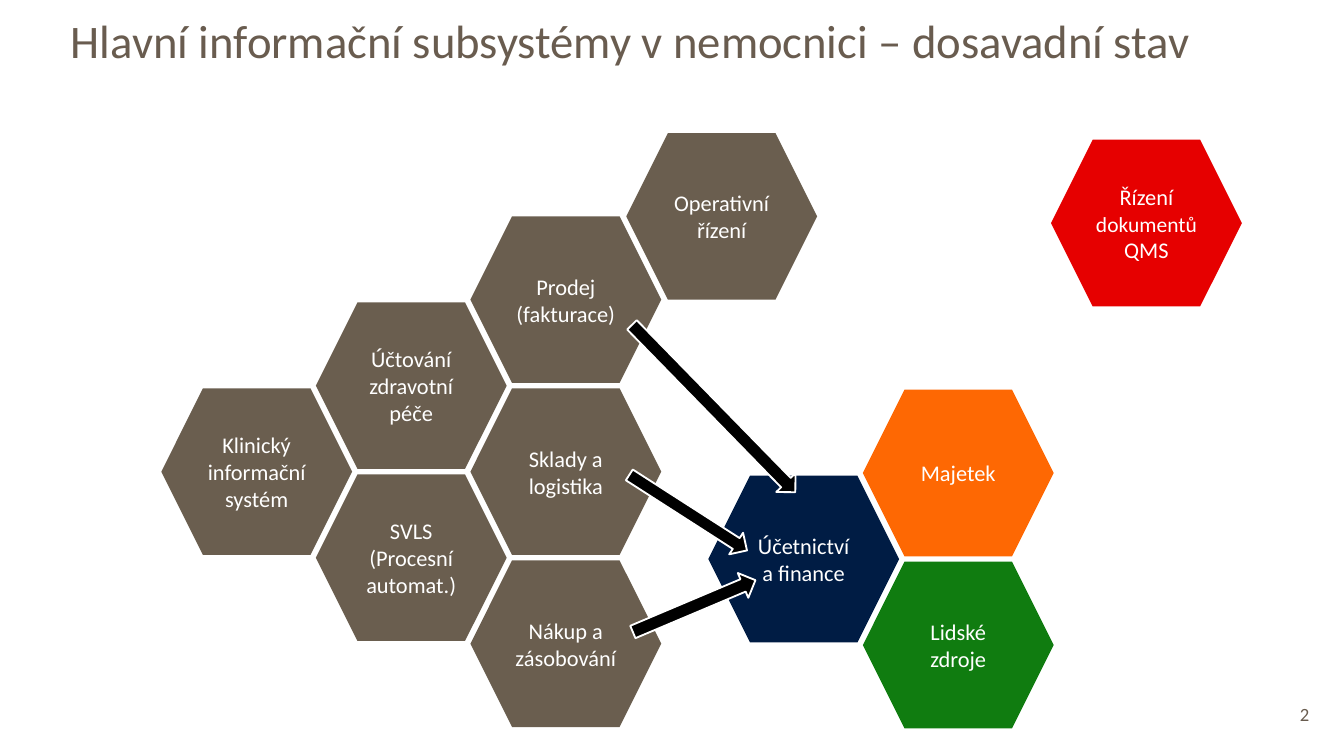
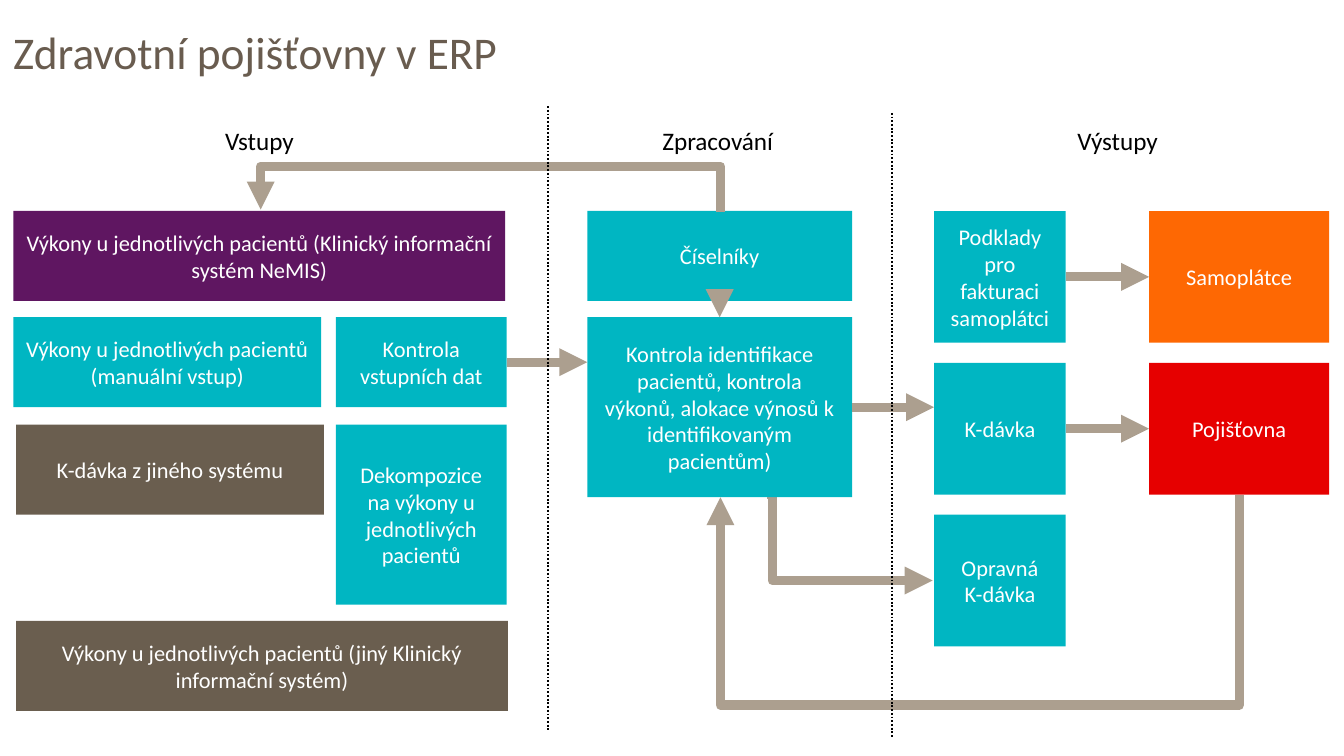
from lxml import etree
from pptx import Presentation
from pptx.dml.color import RGBColor
from pptx.enum.dml import MSO_LINE
from pptx.enum.shapes import MSO_CONNECTOR, MSO_SHAPE
from pptx.enum.text import MSO_ANCHOR, PP_ALIGN
from pptx.oxml.ns import qn
from pptx.util import Inches, Pt

TITLE = RGBColor(0x69, 0x5C, 0x4F)
BROWN = RGBColor(0x6A, 0x5E, 0x4F)
SAND = RGBColor(0xAC, 0x9F, 0x8F)
NAVY = RGBColor(0x00, 0x1C, 0x44)
ORANGE = RGBColor(0xFE, 0x68, 0x03)
GREEN = RGBColor(0x10, 0x7C, 0x10)
RED = RGBColor(0xE6, 0x00, 0x00)
TEAL = RGBColor(0x00, 0xB6, 0xC2)
PURPLE = RGBColor(0x5F, 0x16, 0x61)
BLACK = RGBColor(0, 0, 0)
WHITE = RGBColor(0xFF, 0xFF, 0xFF)

HEX, RECT, ARROW = MSO_SHAPE.HEXAGON, MSO_SHAPE.RECTANGLE, MSO_SHAPE.RIGHT_ARROW
STRAIGHT, ELBOW = MSO_CONNECTOR.STRAIGHT, MSO_CONNECTOR.ELBOW
LEFT, CENTER, RIGHT = PP_ALIGN.LEFT, PP_ALIGN.CENTER, PP_ALIGN.RIGHT
MIDDLE, DOTS = MSO_ANCHOR.MIDDLE, MSO_LINE.ROUND_DOT
TOP_SIDE, LEFT_SIDE, BASE_SIDE, RIGHT_SIDE = range(4)

FONT = "Calibri"
PAGE_W = Inches(10)
PAGE_H = PAGE_W * 9 // 16
HEX_W, HEX_H = 1.42, 1.24
COL, ROW = 1.15, 0.64
INSET = {"margin_left": Inches(0.09), "margin_right": Inches(0.09)}


def apply(item, values):
    """Set each named value on an object."""
    for name, value in values.items():
        setattr(item, name, value)


def write(shape, text, size=12, color=WHITE, align=CENTER, wrap=True):
    """Put one formatted paragraph, given as text or as sized runs, in a shape."""
    frame = shape.text_frame
    apply(frame, {"word_wrap": wrap, "vertical_anchor": MIDDLE})
    para = frame.paragraphs[0]
    para.alignment = align
    for part, points in [(text, size)] if isinstance(text, str) else text:
        for index, line in enumerate(part.split("\n")):
            if index:
                para.add_line_break()
            run = para.add_run()
            run.text = line
            apply(run.font, {"name": FONT, "size": Pt(points)})
            run.font.color.rgb = color


def note(slide, box, text, size, color=TITLE, align=LEFT, wrap=True):
    """Add a text box."""
    shape = slide.shapes.add_textbox(*map(Inches, box))
    write(shape, text, size, color, align, wrap)


def block(slide, kind, box, fill):
    """Add a flat filled shape without an outline."""
    shape = slide.shapes.add_shape(kind, *map(Inches, box))
    shape.shadow.inherit = False
    shape.fill.solid()
    shape.fill.fore_color.rgb = fill
    shape.line.fill.background()
    apply(shape.text_frame, INSET)
    return shape


def tile(slide, origin, place, text, fill):
    """Add a labelled rectangle placed relative to an origin."""
    x, y, w, h = place
    shape = block(slide, RECT, (origin[0] + x, origin[1] + y, w, h), fill)
    write(shape, text)
    return shape


def link(slide, start, end, kind=STRAIGHT, color=SAND, width=5, dash=None, head=True):
    """Add a connector without a shadow."""
    line = slide.shapes.add_connector(kind, *map(Inches, (*start, *end)))
    line.line.color.rgb = color
    apply(line.line, {"width": Pt(width), "dash_style": dash})
    props = line._element.spPr
    stroke = props.find(qn("a:ln"))
    etree.SubElement(stroke, qn("a:round"))
    if head:
        etree.SubElement(stroke, qn("a:tailEnd"), type="triangle")
    etree.SubElement(props, qn("a:effectLst"))
    return line


def bend(line, ratio):
    """Set where an elbow connector turns."""
    shape = line._element.spPr.find(qn("a:prstGeom"))
    guides = shape.find(qn("a:avLst"))
    if guides is None:
        guides = etree.SubElement(shape, qn("a:avLst"))
    etree.SubElement(guides, qn("a:gd"), name="adj1", fmla=f"val {round(ratio * 100000)}")


def loop(slide, start, end, level):
    """Draw a leftward elbow that leaves and returns by way of a given level."""
    (x0, y0), (x1, y1) = start, end
    w, h = abs(y1 - y0), abs(x1 - x0)
    line = link(slide, start, end, ELBOW)
    apply(line, {"left": Inches((x0 + x1 - w) / 2), "top": Inches((y0 + y1 - h) / 2),
                 "width": Inches(w), "height": Inches(h)})
    down = y1 > y0
    frame = line._element.spPr.find(qn("a:xfrm"))
    for name, value in {"rot": "5400000" if down else "16200000",
                        "flipH": "0", "flipV": "0" if down else "1"}.items():
        frame.set(name, value)
    bend(line, (level - y0) / (y1 - y0))


def hive(slide, origin, cells):
    """Place hexagons on a lattice of columns and half rows."""
    for col, row, text, fill in cells:
        box = (origin[0] + col * COL, origin[1] + row * ROW, HEX_W, HEX_H)
        write(block(slide, HEX, box, fill), text)


def flows(slide, origin):
    """Point block arrows at the finance hexagon."""
    for x, y, w, h, turn in [(0, 0, 1.74, 0.2, 45.7), (0.16, 0.78, 1.04, 0.19, 32.7),
                             (0.23, 1.47, 0.99, 0.2, 337.1)]:
        arrow = block(slide, ARROW, (origin[0] + x, origin[1] + y, w, h), BLACK)
        arrow.rotation = turn
        arrow.line.color.rgb = WHITE
        arrow.line.width = Pt(1)


def systems(slide):
    """Build the map of hospital subsystems."""
    note(slide, (0.43, 0.06, 9.3, 0.48),
         "Hlavní informační subsystémy v nemocnici – dosavadní stav", 25)
    note(slide, (7.51, 5.16, 2.33, 0.3), "2", 10, align=RIGHT)
    hive(slide, (5.27, 2.9), [
        (0, 1, "Účetnictví a finance", NAVY),
        (1, 0, "Majetek", ORANGE),
        (1, 2, "Lidské zdroje", GREEN),
    ])
    hive(slide, (1.2, 0.97), [
        (col, row, text, BROWN) for col, row, text in [
            (2, 1, "Prodej (fakturace)"),
            (1, 2, "Účtování zdravotní péče"),
            (2, 3, "Sklady a logistika"),
            (0, 3, "Klinický informační systém"),
            (2, 5, "Nákup a zásobování"),
            (1, 4, "SVLS (Procesní automat.)"),
        ]
    ])
    hive(slide, (7.82, 1.04), [
        (0, 0, [("Řízení ", 12), ("dokumentů", 11.5), (" QMS", 12)], RED)])
    hive(slide, (4.66, 0.99), [(0, 0, "Operativní řízení", BROWN)])
    flows(slide, (4.44, 2.94))


def inputs(slide, origin):
    """Build the input column and return the data check."""
    for place, text, fill in [
        ((0, 0, 3.66, 0.67),
         "Výkony u jednotlivých pacientů (Klinický informační systém NeMIS)", PURPLE),
        ((0, 0.79, 2.29, 0.67), "Výkony u jednotlivých pacientů (manuální vstup)", TEAL),
        ((0.02, 1.59, 2.29, 0.67), "K-dávka z jiného systému", BROWN),
        ((2.4, 1.59, 1.27, 1.34), "Dekompozice na výkony u jednotlivých pacientů", TEAL),
        ((0.02, 3.05, 3.66, 0.67),
         "Výkony u jednotlivých pacientů (jiný Klinický informační systém)", BROWN),
    ]:
        tile(slide, origin, place, text, fill)
    return tile(slide, origin, (2.4, 0.79, 1.27, 0.67), "Kontrola vstupních dat", TEAL)


def process(slide, origin):
    """Build the processing column and return its main step."""
    main = tile(slide, origin, (0, 0.79, 1.97, 1.34),
                "Kontrola identifikace pacientů, kontrola výkonů, alokace výnosů k "
                "identifikovaným pacientům)", TEAL)
    codes = tile(slide, origin, (0, 0, 1.97, 0.67), "Číselníky", TEAL)
    x, y = origin[0] + 0.98, origin[1]
    line = link(slide, (x, y + 0.67), (x, y + 0.79))
    line.begin_connect(codes, BASE_SIDE)
    line.end_connect(main, TOP_SIDE)
    return main


def outputs(slide, origin):
    """Build the output column with its recipients."""
    for row, (text, payer, fill) in enumerate([
        ("Podklady pro fakturaci samoplátci", "Samoplátce", ORANGE),
        ("K-dávka", "Pojišťovna", RED),
        ("Opravná\nK-dávka", None, None),
    ]):
        y = row * 1.13
        batch = tile(slide, origin, (0, y, 0.98, 0.98), text, TEAL)
        if payer:
            target = tile(slide, origin, (1.6, y, 1.34, 0.98), payer, fill)
            mid = origin[1] + y + 0.49
            line = link(slide, (origin[0] + 0.98, mid), (origin[0] + 1.6, mid))
            line.begin_connect(batch, RIGHT_SIDE)
            line.end_connect(target, LEFT_SIDE)


def insurers(slide):
    """Build the flow of insurance data."""
    bend(link(slide, (5.71, 3.68), (6.94, 4.32), ELBOW), 0.03)
    note(slide, (0, 0.1, 4.16, 0.56), "Zdravotní pojišťovny v ERP", 24.3)
    check = inputs(slide, (0.1, 1.57))
    main = process(slide, (4.37, 1.57))
    outputs(slide, (6.95, 1.57))
    for x, width, text in [(1.57, 0.72, "Vstupy"), (4.82, 1.04, "Zpracování"),
                           (7.91, 0.81, "Výstupy")]:
        note(slide, (x, 0.88, width, 0.33), text, 13.5, BLACK, CENTER, False)
    loop(slide, (5.36, 1.58), (1.94, 1.56), 1.24)
    loop(slide, (9.22, 3.68), (5.36, 3.7), 5.24)
    for source, start, end in [(check, (3.77, 2.7), (4.37, 2.7)),
                               (main, (6.34, 3.03), (6.95, 3.03))]:
        line = link(slide, start, end)
        line.begin_connect(source, RIGHT_SIDE)
        line.end_y = line.begin_y
    for x, y in [(4.08, 0.79), (6.64, 0.84)]:
        link(slide, (x, y), (x, y + 4.65), color=BLACK, width=1, dash=DOTS, head=False)


def main():
    """Build and save the deck."""
    deck = Presentation()
    apply(deck, {"slide_width": PAGE_W, "slide_height": PAGE_H})
    for build in (systems, insurers):
        build(deck.slides.add_slide(deck.slide_layouts[6]))
    deck.save("out.pptx")


if __name__ == "__main__":
    main()
